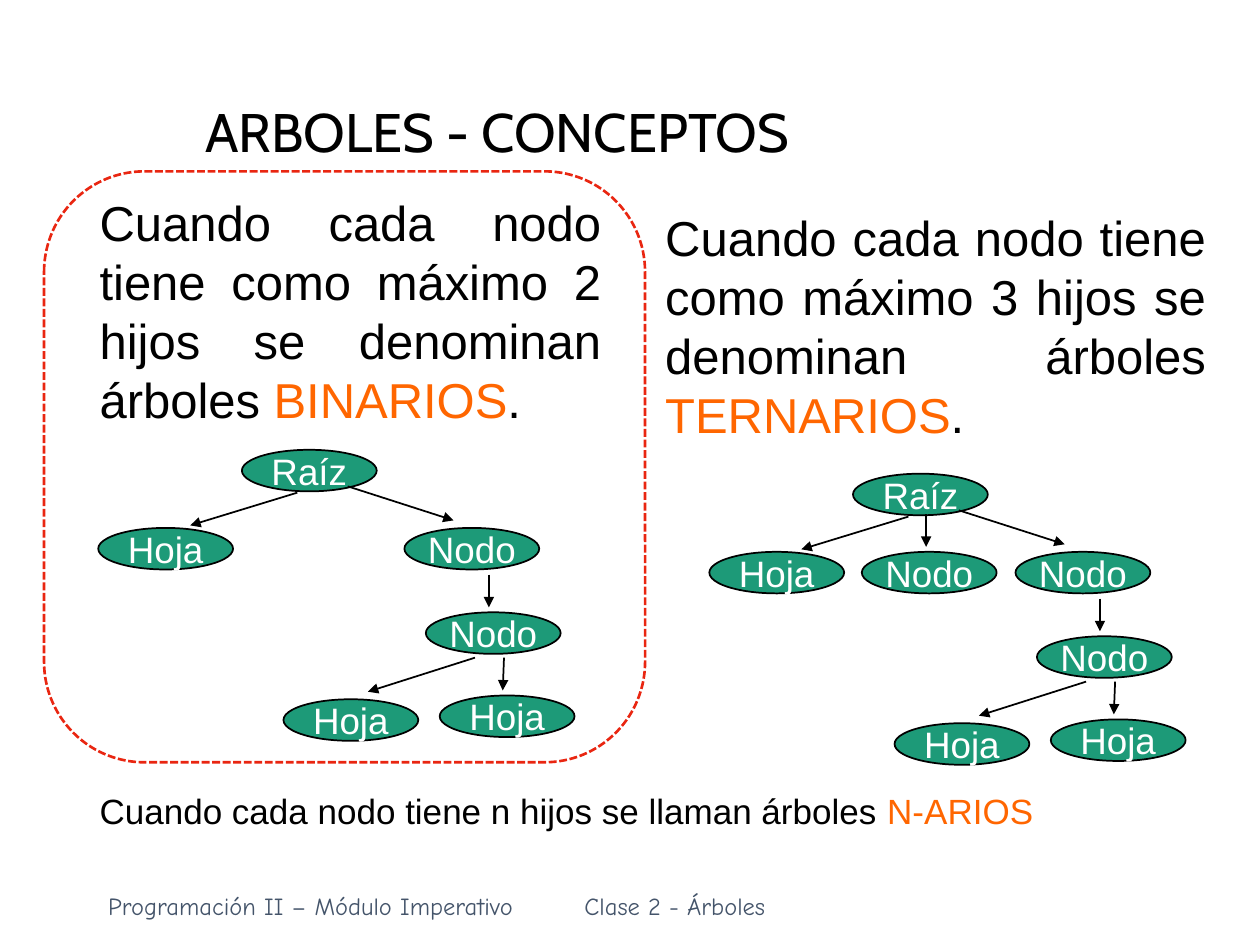
import pptx
import pptx.util
import pptx.dml.color
import pptx.enum.dml
import pptx.enum.shapes
import pptx.enum.text
import pptx.oxml.ns
import lxml.etree

THEME = {
    "ink": pptx.dml.color.RGBColor.from_string("000000"),
    "accent": pptx.dml.color.RGBColor.from_string("FF6600"),
    "node": pptx.dml.color.RGBColor.from_string("1D9A78"),
    "node_text": pptx.dml.color.RGBColor.from_string("FFFFFF"),
    "frame": pptx.dml.color.RGBColor.from_string("E92611"),
    "footer": pptx.dml.color.RGBColor.from_string("44546A"),
    "title_font": "Cabin",
    "body_font": "Arial",
    "footer_font": "Comic Neue",
    "title_size": pptx.util.Pt(31),
    "body_size": pptx.util.Pt(28),
    "node_size": pptx.util.Pt(21),
    "note_size": pptx.util.Pt(20),
    "footer_size": pptx.util.Pt(14),
    "thin": pptx.util.Pt(1),
    "dashed": pptx.util.Pt(1.5),
}

deck = pptx.Presentation()
deck.slide_width = pptx.util.Inches(10)
deck.slide_height = pptx.util.Inches(7.5)
COLUMN = deck.slide_width / 100
ROW = deck.slide_height / 75
slide = deck.slides.add_slide(deck.slide_layouts[5])


def grid(left, top, width, height):
    return [round(n * unit) for n, unit in zip((left, top, width, height), (COLUMN, ROW) * 2)]


def style(frame, font, size, color, align, inset=(1.2, 0.6)):
    frame.margin_left = frame.margin_right = round(inset[0] * COLUMN)
    frame.margin_top = frame.margin_bottom = round(inset[1] * ROW)
    paragraph = frame.paragraphs[0]
    paragraph.alignment = align
    paragraph.font.name = font
    paragraph.font.size = size
    paragraph.font.color.rgb = color
    return paragraph


LEFT = pptx.enum.text.PP_ALIGN.LEFT
CENTER = pptx.enum.text.PP_ALIGN.CENTER
JUSTIFY = pptx.enum.text.PP_ALIGN.JUSTIFY

for words, place in (
    ("Programación II – Módulo Imperativo", (7.6, 70.2, 34.3, 3.4)),
    ("Clase 2 - Árboles", (45.4, 70.2, 16.4, 3.4)),
):
    footer = slide.shapes.add_textbox(*grid(*place)).text_frame
    footer.text = words
    footer.word_wrap = False
    style(footer, THEME["footer_font"], THEME["footer_size"], THEME["footer"], LEFT, (1, 0.5))

title = slide.shapes.title
title.left, title.top, title.width, title.height = grid(15.1, -1.1, 83.7, 14.7)
title.text_frame.text = "ARBOLES - CONCEPTOS"
title.text_frame.vertical_anchor = pptx.enum.text.MSO_ANCHOR.BOTTOM
heading = style(title.text_frame, THEME["title_font"], THEME["title_size"], THEME["ink"], LEFT)
heading.line_spacing = 0.9

for place, size, statement, kind, ending in (
    ((6.7, 14.7, 42.2, 17.7), "body_size",
     "Cuando cada nodo tiene como máximo 2 hijos se denominan árboles ", "BINARIOS", "."),
    ((51.6, 15.9, 45.3, 17.7), "body_size",
     "Cuando cada nodo tiene como máximo 3 hijos se denominan árboles ", "TERNARIOS", "."),
    ((6.7, 62.1, 82.2, 7.3), "note_size",
     "Cuando cada nodo tiene n hijos se llaman árboles ", "N-ARIOS", ""),
):
    definition = slide.shapes.add_textbox(*grid(*place)).text_frame
    definition.word_wrap = True
    sentence = style(definition, THEME["body_font"], THEME[size], THEME["ink"], JUSTIFY)
    for words, color in ((statement, "ink"), (kind, "accent"), (ending, "ink")):
        if words:
            run = sentence.add_run()
            run.text = words
            run.font.color.rgb = THEME[color]

binary_nodes = [
    ("Raíz", 11.4, 0), ("Hoja", 0, 6.2), ("Nodo", 24.3, 6.2),
    ("Nodo", 26, 12.9), ("Hoja", 27.1, 19.5), ("Hoja", 14.7, 19.8),
]
binary_branches = [
    (15.8, 3.4, 7.3, 6), (19.8, 2.9, 28.2, 5.6), (31, 9.9, 31, 12.5),
    (29.9, 16.5, 21.4, 19.2), (32.2, 16.5, 32.1, 19.1),
]
ternary_nodes = binary_nodes + [("Nodo", 12.1, 6.2)]
ternary_branches = binary_branches + [(17.2, 3.2, 17.2, 5.8)]

for left, top, nodes, branches in (
    (7.8, 35.7, binary_nodes, binary_branches),
    (56.3, 37.6, ternary_nodes, ternary_branches),
):
    tree = slide.shapes.add_group_shape()
    for name, x, y in nodes:
        node = tree.shapes.add_shape(
            pptx.enum.shapes.MSO_SHAPE.OVAL, *grid(left + x, top + y, 10.7, 3.3))
        node.shadow.inherit = False
        node.fill.solid()
        node.fill.fore_color.rgb = THEME["node"]
        node.line.color.rgb = THEME["ink"]
        node.line.width = THEME["thin"]
        node.text_frame.text = name
        node.text_frame.word_wrap = False
        node.text_frame.vertical_anchor = pptx.enum.text.MSO_ANCHOR.MIDDLE
        style(node.text_frame, THEME["body_font"], THEME["node_size"], THEME["node_text"], CENTER)
    for x1, y1, x2, y2 in branches:
        branch = tree.shapes.add_connector(
            pptx.enum.shapes.MSO_CONNECTOR.STRAIGHT,
            *grid(left + x1, top + y1, left + x2, top + y2))
        branch.line.color.rgb = THEME["ink"]
        branch.line.width = THEME["thin"]
        lxml.etree.SubElement(
            branch.line._get_or_add_ln(), pptx.oxml.ns.qn("a:tailEnd"), type="triangle")
        lxml.etree.SubElement(branch._element.spPr, pptx.oxml.ns.qn("a:effectLst"))

highlight = slide.shapes.add_shape(
    pptx.enum.shapes.MSO_SHAPE.ROUNDED_RECTANGLE, *grid(3.5, 13.6, 47.7, 46.9))
highlight.adjustments[0] = 0.17
highlight.shadow.inherit = False
highlight.fill.background()
highlight.line.color.rgb = THEME["frame"]
highlight.line.width = THEME["dashed"]
highlight.line.dash_style = pptx.enum.dml.MSO_LINE.SQUARE_DOT

deck.save("out.pptx")
